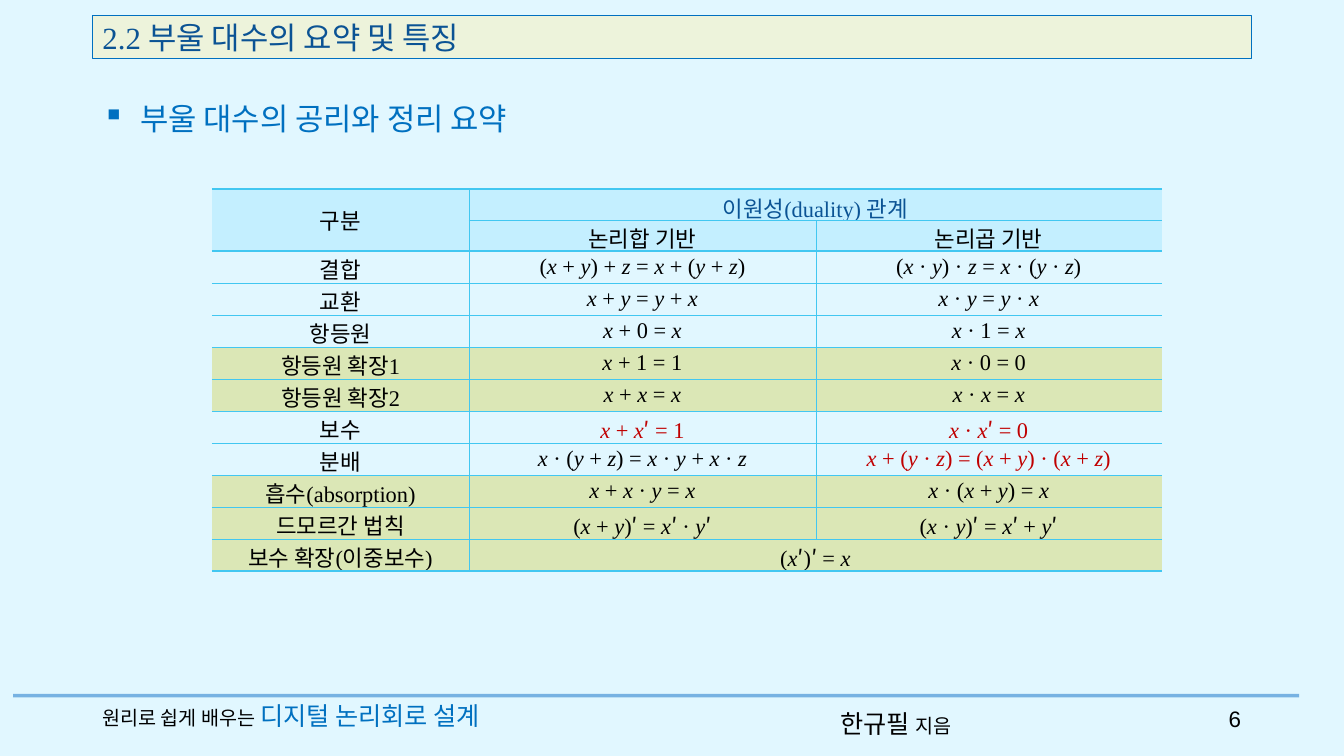
import itertools
from dataclasses import dataclass

import lxml.etree
import pptx
import pptx.dml.color
import pptx.enum.shapes
import pptx.enum.text
import pptx.oxml.ns
import pptx.util

Pt = pptx.util.Pt
qn = pptx.oxml.ns.qn
ALIGN = pptx.enum.text.PP_ALIGN
ANCHOR = pptx.enum.text.MSO_ANCHOR


@dataclass(frozen=True)
class Theme:
    background: str = "E1F7FF"
    heading_fill: str = "EDF3DB"
    header_fill: str = "C4EFFF"
    derived_fill: str = "DBE7B6"
    rule: str = "0F6FC6"
    grid: str = "42C7F1"
    navy: str = "0B5394"
    blue: str = "0070C0"
    red: str = "C00000"
    black: str = "000000"
    serif: str = "Times New Roman"
    hangul: str = "Noto Sans CJK KR"
    sans: str = "Arial"
    heading_size: int = 22
    footer_size: int = 18
    number_size: int = 16
    cell_size: int = 16
    small_size: int = 14
    thin: float = 0.28
    thick: float = 1.7


THEME = Theme()

HEADER_ROWS = 2
COLUMN_WIDTHS = (183.6, 247.7, 247)
HEADER_HEIGHT, LAW_HEIGHT = 21.9, 22.9
LAWS = [
    ("구분", "이원성(duality) 관계", ""),
    ("", "논리합 기반", "논리곱 기반"),
    ("결합", "(x + y) + z = x + (y + z)", "(x · y) · z = x · (y · z)"),
    ("교환", "x + y = y + x", "x · y = y · x"),
    ("항등원", "x + 0 = x", "x · 1 = x"),
    ("항등원 확장1", "x + 1 = 1", "x · 0 = 0"),
    ("항등원 확장2", "x + x = x", "x · x = x"),
    ("보수", "x + x′ = 1", "x · x′ = 0"),
    ("분배", "x · (y + z) = x · y + x · z", "x + (y · z) = (x + y) · (x + z)"),
    ("흡수(absorption)", "x + x · y = x", "x · (x + y) = x"),
    ("드모르간 법칙", "(x + y)′ = x′ · y′", "(x · y)′ = x′ + y′"),
    ("보수 확장(이중보수)", "(x′)′ = x", ""),
]
DERIVED_ROWS = {5, 6, 9, 10, 11}
TEXT_COLORS = {(0, 1): THEME.navy, (7, 1): THEME.red, (7, 2): THEME.red, (8, 2): THEME.red}
MERGES = [((0, 0), (1, 0)), ((0, 1), (0, 2)), ((11, 1), (11, 2))]


def rgb(value):
    return pptx.dml.color.RGBColor.from_string(value)


def apply(target, values):
    for name, value in values.items():
        setattr(target, name, value)


def add_run(paragraph, text, size, color, font, italic=False):
    run = paragraph.add_run()
    run.text = text
    apply(run.font, {"size": Pt(size), "name": font, "italic": italic, "bold": False})
    run.font.color.rgb = rgb(color)
    east_asian = lxml.etree.SubElement(run.font._element, qn("a:ea"))
    east_asian.set("typeface", THEME.hangul)


def add_line_of_text(slide, box, runs, align=ALIGN.LEFT, bullet=None):
    frame = slide.shapes.add_textbox(*map(Pt, box)).text_frame
    frame.word_wrap = True
    paragraph = frame.paragraphs[0]
    paragraph.alignment = align
    if bullet:
        properties = paragraph._p.get_or_add_pPr()
        properties.set("marL", str(Pt(27)))
        properties.set("indent", str(-Pt(27)))
        lxml.etree.SubElement(properties, qn("a:buChar")).set("char", bullet)
    for run in runs:
        add_run(paragraph, *run)


def add_heading(slide, text):
    heading = slide.shapes.title
    apply(heading, dict(zip(("left", "top", "width", "height"), map(Pt, (66, 11, 828, 31)))))
    heading.fill.solid()
    heading.fill.fore_color.rgb = rgb(THEME.heading_fill)
    heading.line.color.rgb = rgb(THEME.blue)
    heading.line.width = Pt(0.75)
    apply(heading.text_frame, {"vertical_anchor": ANCHOR.MIDDLE, "word_wrap": True,
                               "auto_size": pptx.enum.text.MSO_AUTO_SIZE.NONE})
    paragraph = heading.text_frame.paragraphs[0]
    paragraph.alignment = ALIGN.LEFT
    add_run(paragraph, text, THEME.heading_size, THEME.navy, THEME.serif)


def add_footer_rule(slide):
    rule = slide.shapes.add_connector(pptx.enum.shapes.MSO_CONNECTOR.STRAIGHT,
                                      Pt(9.4), Pt(496.8), Pt(928), Pt(496.8))
    rule.line.color.rgb = rgb(THEME.rule)
    rule.line.width = Pt(2.5)
    color = rule.line._ln.find(".//" + qn("a:srgbClr"))
    lxml.etree.SubElement(color, qn("a:alpha")).set("val", "50000")
    lxml.etree.SubElement(rule._element.spPr, qn("a:effectLst"))


def split_by_script(text, is_formula):
    """Group characters by font and slant; a space stays with what precedes it."""
    styles = []
    for char in text:
        if char == " ":
            styles.append(styles[-1])
        else:
            font = THEME.hangul if char > "ᄀ" else THEME.serif
            styles.append((font, is_formula and char in "xyz"))
    for style, pairs in itertools.groupby(zip(styles, text), key=lambda pair: pair[0]):
        yield "".join(char for _, char in pairs), style


def set_borders(cell, widths):
    properties = cell._tc.get_or_add_tcPr()
    for side, width in widths.items():
        line = lxml.etree.SubElement(properties, qn("a:ln" + side))
        if width:
            line.set("w", str(Pt(width)))
            fill = lxml.etree.SubElement(line, qn("a:solidFill"))
            lxml.etree.SubElement(fill, qn("a:srgbClr")).set("val", THEME.grid)
        else:
            lxml.etree.SubElement(line, qn("a:noFill"))


def fill_cell(cell, row, column):
    is_header = row < HEADER_ROWS
    # Heavy rules frame the table and close its header
    thick_edges = (0, HEADER_ROWS, len(LAWS))
    across = [THEME.thick if edge in thick_edges else THEME.thin for edge in (row, row + 1)]
    spans_bases = row in (0, len(LAWS) - 1)
    left = column == 1 or column == 2 and not spans_bases
    right = column == 0 or column == 1 and not spans_bases
    set_borders(cell, {"L": left * THEME.thin, "R": right * THEME.thin,
                       "T": across[0], "B": across[1]})
    if is_header or row in DERIVED_ROWS:
        cell.fill.solid()
        cell.fill.fore_color.rgb = rgb(THEME.header_fill if is_header else THEME.derived_fill)
    else:
        cell.fill.background()
    apply(cell, {"vertical_anchor": ANCHOR.MIDDLE, "margin_left": Pt(5), "margin_right": Pt(5),
                 "margin_top": Pt(1.4), "margin_bottom": Pt(1.4)})
    paragraph = cell.text_frame.paragraphs[0]
    paragraph.alignment = ALIGN.CENTER
    paragraph.font.size = Pt(THEME.cell_size)
    color = TEXT_COLORS.get((row, column), THEME.black)
    for text, (font, italic) in split_by_script(LAWS[row][column], column > 0 and not is_header):
        add_run(paragraph, text, THEME.cell_size, color, font, italic)


def add_law_table(slide):
    heights = [HEADER_HEIGHT if row < HEADER_ROWS else LAW_HEIGHT for row in range(len(LAWS))]
    table = slide.shapes.add_table(len(LAWS), len(COLUMN_WIDTHS), Pt(151.4), Pt(135.2),
                                   Pt(sum(COLUMN_WIDTHS)), Pt(sum(heights))).table
    apply(table, {"first_row": False, "horz_banding": False})
    for column, width in zip(table.columns, COLUMN_WIDTHS):
        column.width = Pt(width)
    for row, height in zip(table.rows, heights):
        row.height = Pt(height)
    for start, end in MERGES:
        table.cell(*start).merge(table.cell(*end))
    for row, column in itertools.product(range(len(LAWS)), range(len(COLUMN_WIDTHS))):
        fill_cell(table.cell(row, column), row, column)


def main():
    deck = pptx.Presentation()
    apply(deck, {"slide_width": Pt(960), "slide_height": Pt(540)})
    slide = deck.slides.add_slide(deck.slide_layouts[5])
    slide.background.fill.solid()
    slide.background.fill.fore_color.rgb = rgb(THEME.background)

    # Footer
    add_footer_rule(slide)
    add_line_of_text(slide, (593.3, 502.6, 110, 29),
                     [("한규필 ", THEME.footer_size, THEME.black, THEME.hangul),
                      ("지음", THEME.small_size, THEME.black, THEME.hangul)])
    add_line_of_text(slide, (66, 496.8, 333, 29),
                     [("원리로 쉽게 배우는 ", THEME.small_size, THEME.black, THEME.serif),
                      ("디지털 논리회로 설계", THEME.footer_size, THEME.blue, THEME.serif)])
    add_line_of_text(slide, (849, 500.4, 44.6, 29),
                     [("6", THEME.number_size, THEME.black, THEME.sans)], ALIGN.RIGHT)

    # Heading and topic
    add_heading(slide, "2.2 부울 대수의 요약 및 특징")
    add_line_of_text(slide, (66, 67.7, 480, 34),
                     [("부울 대수의 공리와 정리 요약", THEME.heading_size, THEME.blue, THEME.hangul)],
                     bullet="▪")

    # Summary of laws
    add_law_table(slide)
    deck.save("out.pptx")


if __name__ == "__main__":
    main()
